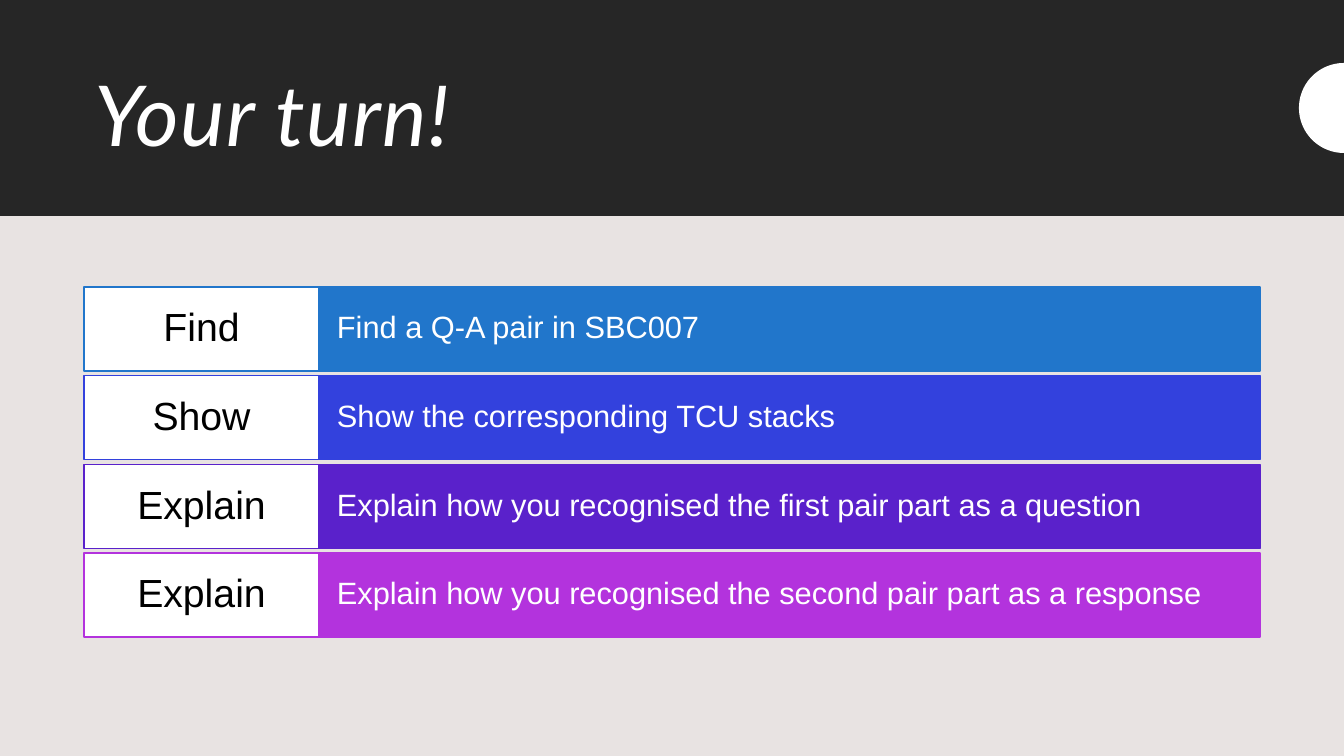
"""Build the "Your turn!" task slide."""
import math

import pptx
import pptx.dml.color
import pptx.enum.shapes
import pptx.enum.text
import pptx.util

RGBColor = pptx.dml.color.RGBColor
PP_ALIGN = pptx.enum.text.PP_ALIGN

WHITE = RGBColor(0xFF, 0xFF, 0xFF)
BLACK = RGBColor(0x00, 0x00, 0x00)
CHARCOAL = RGBColor(0x26, 0x26, 0x26)
STONE = RGBColor(0xE8, 0xE3, 0xE2)
BLUE = RGBColor(0x21, 0x76, 0xCB)
INDIGO = RGBColor(0x33, 0x41, 0xDD)
VIOLET = RGBColor(0x5A, 0x21, 0xCB)
MAGENTA = RGBColor(0xB3, 0x33, 0xDD)

TITLE = "Your turn!"
TASKS = [
    ("Find", "Find a Q-A pair in SBC007", BLUE),
    ("Show", "Show the corresponding TCU stacks", INDIGO),
    ("Explain", "Explain how you recognised the first pair part as a question", VIOLET),
    ("Explain", "Explain how you recognised the second pair part as a response", MAGENTA),
]

SLIDE_W, SLIDE_H = 1344, 756
BAND_H = 216
LEFT, CONTENT_W, LABEL_W = 84, 1176, 235
FIRST_TOP, LAST_TOP, ROW_H = 287, 553, 84
TAB_Y, TAB_R, TAB_STEPS = 108, 45, 48


def px(n):
    return round(n * 914400 / 100.8)


def write(sp, text, font, size, color, align=PP_ALIGN.LEFT, insets=(10, 5)):
    tf = sp.text_frame
    tf.word_wrap = True
    tf.vertical_anchor = pptx.enum.text.MSO_ANCHOR.MIDDLE
    tf.margin_left = tf.margin_right = px(insets[0])
    tf.margin_top = tf.margin_bottom = px(insets[1])
    p = tf.paragraphs[0]
    p.alignment = align
    p.line_spacing = 0.9
    r = p.add_run()
    r.text = text
    p.font.name = font
    p.font.size = pptx.util.Pt(size)
    p.font.color.rgb = color
    return p


def add_rect(s, x, y, w, h, fill, line=None):
    sp = s.shapes.add_shape(
        pptx.enum.shapes.MSO_SHAPE.RECTANGLE, px(x), px(y), px(w), px(h))
    sp.shadow.inherit = False
    sp.fill.solid()
    sp.fill.fore_color.rgb = fill
    if line is None:
        sp.line.fill.background()
    else:
        sp.line.color.rgb = line
        sp.line.width = pptx.util.Pt(1)
    return sp


def add_edge_tab(s):
    angles = [math.pi * (0.5 + i / TAB_STEPS) for i in range(TAB_STEPS + 1)]
    points = [(px(SLIDE_W + TAB_R * math.cos(a)), px(TAB_Y - TAB_R * math.sin(a)))
              for a in angles]
    fb = s.shapes.build_freeform(*points[0])
    fb.add_line_segments(points[1:], close=True)
    sp = fb.convert_to_shape()
    sp.shadow.inherit = False
    sp.fill.solid()
    sp.fill.fore_color.rgb = WHITE
    sp.line.fill.background()


def add_tasks(s):
    pitch = (LAST_TOP - FIRST_TOP) / (len(TASKS) - 1)
    for i, (label, detail, color) in enumerate(TASKS):
        top = FIRST_TOP + i * pitch
        sp = add_rect(s, LEFT + LABEL_W, top, CONTENT_W - LABEL_W, ROW_H, color, color)
        write(sp, detail, "Arial", 22, WHITE, insets=(18, 21))
        sp = add_rect(s, LEFT, top, LABEL_W, ROW_H, WHITE, color)
        write(sp, label, "Arial", 28, BLACK, PP_ALIGN.CENTER, (12, 8))


def main():
    prs = pptx.Presentation()
    prs.slide_width, prs.slide_height = px(SLIDE_W), px(SLIDE_H)
    s = prs.slides.add_slide(prs.slide_layouts[6])
    s.background.fill.solid()
    s.background.fill.fore_color.rgb = STONE
    add_rect(s, 0, 0, SLIDE_W, SLIDE_H, STONE)
    add_rect(s, 0, 0, SLIDE_W, BAND_H, CHARCOAL)
    title = s.shapes.add_textbox(px(LEFT), px(46), px(CONTENT_W), px(146))
    p = write(title, TITLE, "Lato", 60, WHITE)
    p.font.italic = True
    p.runs[0].font._element.set("spc", "100")
    add_edge_tab(s)
    add_tasks(s)
    prs.save("out.pptx")


if __name__ == "__main__":
    main()
